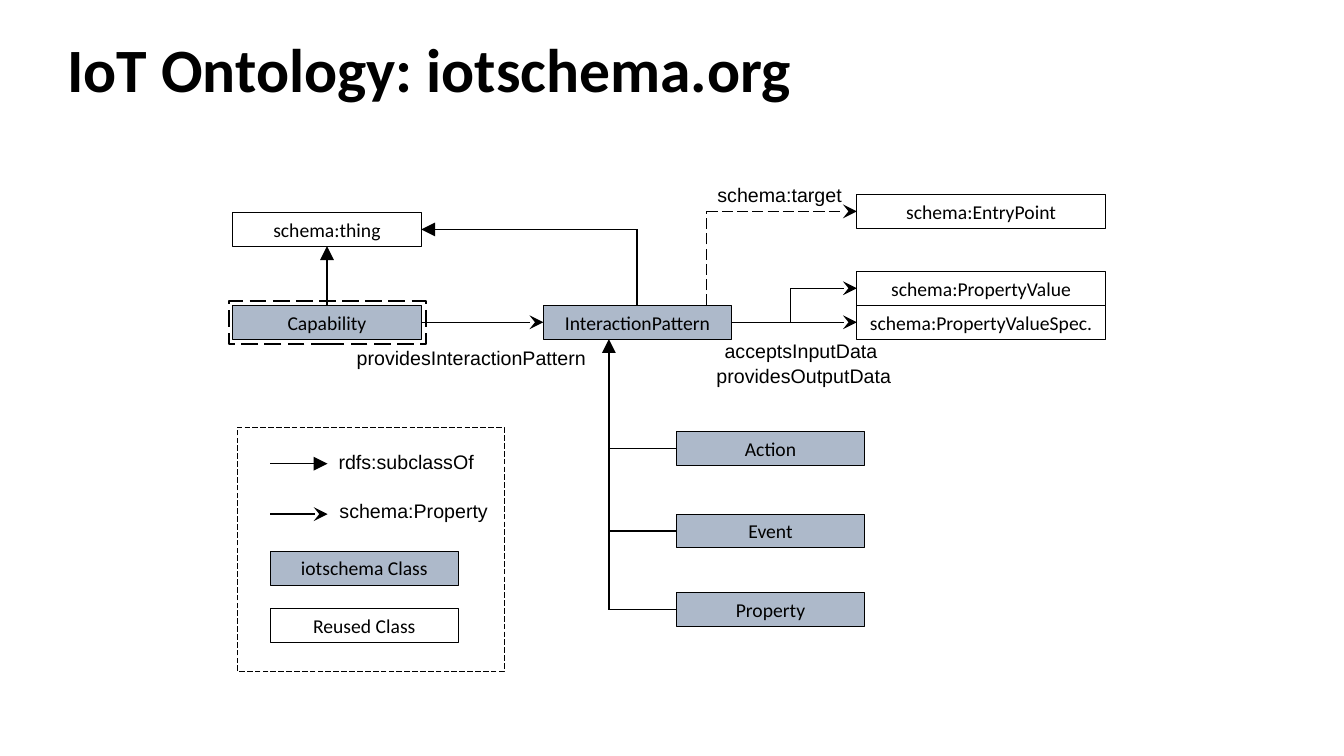
from lxml import etree
from pptx import Presentation
from pptx.dml.color import RGBColor
from pptx.enum import dml, shapes, text
from pptx.oxml import ns
from pptx.util import Pt

TITLE = "IoT Ontology: iotschema.org"
BLACK, WHITE, BLUE = "000000", "FFFFFF", "ADB9CA"
HIGH, SLIM, WIDE = 24, 134.6, 177.8

BOXES = {
    "schema:thing": (166.3, 151.9, SLIM, WHITE),
    "Capability": (166.3, 218.2, SLIM, BLUE),
    "InteractionPattern": (388.1, 218.2, SLIM, BLUE),
    "Action": (483.1, 308.2, SLIM, BLUE),
    "Event": (483.1, 367.2, SLIM, BLUE),
    "Property": (483.1, 423.4, SLIM, BLUE),
    "schema:PropertyValue": (612, 193.9, WIDE, WHITE),
    "schema:PropertyValueSpec.": (612, 218.2, WIDE, WHITE),
    "schema:EntryPoint": (612, 139, WIDE, WHITE),
    "iotschema Class": (193, 393.8, SLIM, BLUE),
    "Reused Class": (193, 434.9, SLIM, WHITE),
}
LABELS = [
    ("acceptsInputData", 510.5, 238.3, 124.6),
    ("providesOutputData", 504.7, 256.3, 139.7),
    ("providesInteractionPattern", 247.7, 243.4, 179.3),
    ("schema:target", 505.4, 127.1, 103.7),
    ("rdfs:subclassOf", 234.7, 317.5, 111.6),
    ("schema:Property", 235.4, 352.8, 121),
]
FRAMES = [
    (169.2, 305.3, 190.8, 174.2, 0.5),
    (163.4, 215.3, 141.1, 30.2, 1.5),
]
KINDS = ["Action", "Event", "Property"]
TRUNK, FORK, RISE, BEND = 434.9, 564.5, 504.7, 455


def color(code):
    return RGBColor.from_string(code)


def style(item, **vals):
    for name, val in vals.items():
        setattr(item, name, val)


def left(name):
    x, y, w, fill = BOXES[name]
    return x, y + HIGH / 2


def right(name):
    x, y, w, fill = BOXES[name]
    return x + w, y + HIGH / 2


def write(shape, words, face, size=14, bold=False, align=None, **frame):
    style(shape.text_frame, **frame)
    para = shape.text_frame.paragraphs[0]
    para.text = words
    style(para, alignment=align)
    style(para.font, name=face, size=Pt(size), bold=bold)
    para.font.color.rgb = color(BLACK)
    return para


def rect(x, y, w, h, fill=None, width=0.5):
    shape = slide.shapes.add_shape(
        shapes.MSO_SHAPE.RECTANGLE, Pt(x), Pt(y), Pt(w), Pt(h))
    shape.shadow.inherit = False
    if fill:
        shape.fill.solid()
        shape.fill.fore_color.rgb = color(fill)
    else:
        shape.fill.background()
        shape.line.dash_style = dml.MSO_LINE.LONG_DASH
    shape.line.color.rgb = color(BLACK)
    shape.line.width = Pt(width)
    return shape


def link(start, end, head=None, dash=None):
    ends = [Pt(v) for v in (*start, *end)]
    line = slide.shapes.add_connector(shapes.MSO_CONNECTOR.STRAIGHT, *ends)
    line.line.color.rgb = color(BLACK)
    style(line.line, width=Pt(1), dash_style=dash)
    if head:
        etree.SubElement(line.line._ln, ns.qn("a:tailEnd"),
                         type=head, w="lg", len="lg")
    etree.SubElement(line._element.spPr, ns.qn("a:effectLst"))


deck = Presentation()
style(deck, slide_width=Pt(960), slide_height=Pt(540))
slide = deck.slides.add_slide(deck.slide_layouts[5])

title = slide.shapes.title
style(title, left=Pt(41), top=Pt(20.9), width=Pt(828), height=Pt(61.2))
head = write(title, TITLE, "Calibri", 44, True, text.PP_ALIGN.LEFT,
             vertical_anchor=text.MSO_ANCHOR.MIDDLE, word_wrap=True)
head.line_spacing = 0.9

for name, (x, y, w, fill) in BOXES.items():
    write(rect(x, y, w, HIGH, fill), name, "Calibri",
          align=text.PP_ALIGN.CENTER, word_wrap=False,
          vertical_anchor=text.MSO_ANCHOR.MIDDLE)

for x, y, w, h, width in FRAMES:
    rect(x, y, w, h, width=width)

for words, x, y, w in LABELS:
    box = slide.shapes.add_textbox(Pt(x), Pt(y), Pt(w), Pt(24.2))
    write(box, words, "Arial", word_wrap=False,
          auto_size=text.MSO_AUTO_SIZE.SHAPE_TO_FIT_TEXT)

top = BOXES["InteractionPattern"][1]
base = top + HIGH
mid = BOXES["Capability"][0] + SLIM / 2
thing = right("schema:thing")
entry = left("schema:EntryPoint")
value = left("schema:PropertyValue")
dash = dml.MSO_LINE.LONG_DASH

link((mid, top), (mid, BOXES["schema:thing"][1] + HIGH), "triangle")
link((BEND, top), (BEND, thing[1]))
link((BEND, thing[1]), thing, "triangle")
link(right("Capability"), left("InteractionPattern"), "stealth")
link(right("InteractionPattern"), left("schema:PropertyValueSpec."), "stealth")
link((FORK, top + HIGH / 2), (FORK, value[1]))
link((FORK, value[1]), value, "stealth")
link((RISE, top), (RISE, entry[1]), dash=dash)
link((RISE, entry[1]), entry, "stealth", dash)
link((TRUNK, left(KINDS[-1])[1]), (TRUNK, base), "triangle")
for name in KINDS:
    x, y = left(name)
    link((TRUNK, y), (x, y))
for y, tip in ((331.2, "triangle"), (367.2, "stealth")):
    link((193, y), (234, y), tip)

deck.save("out.pptx")
